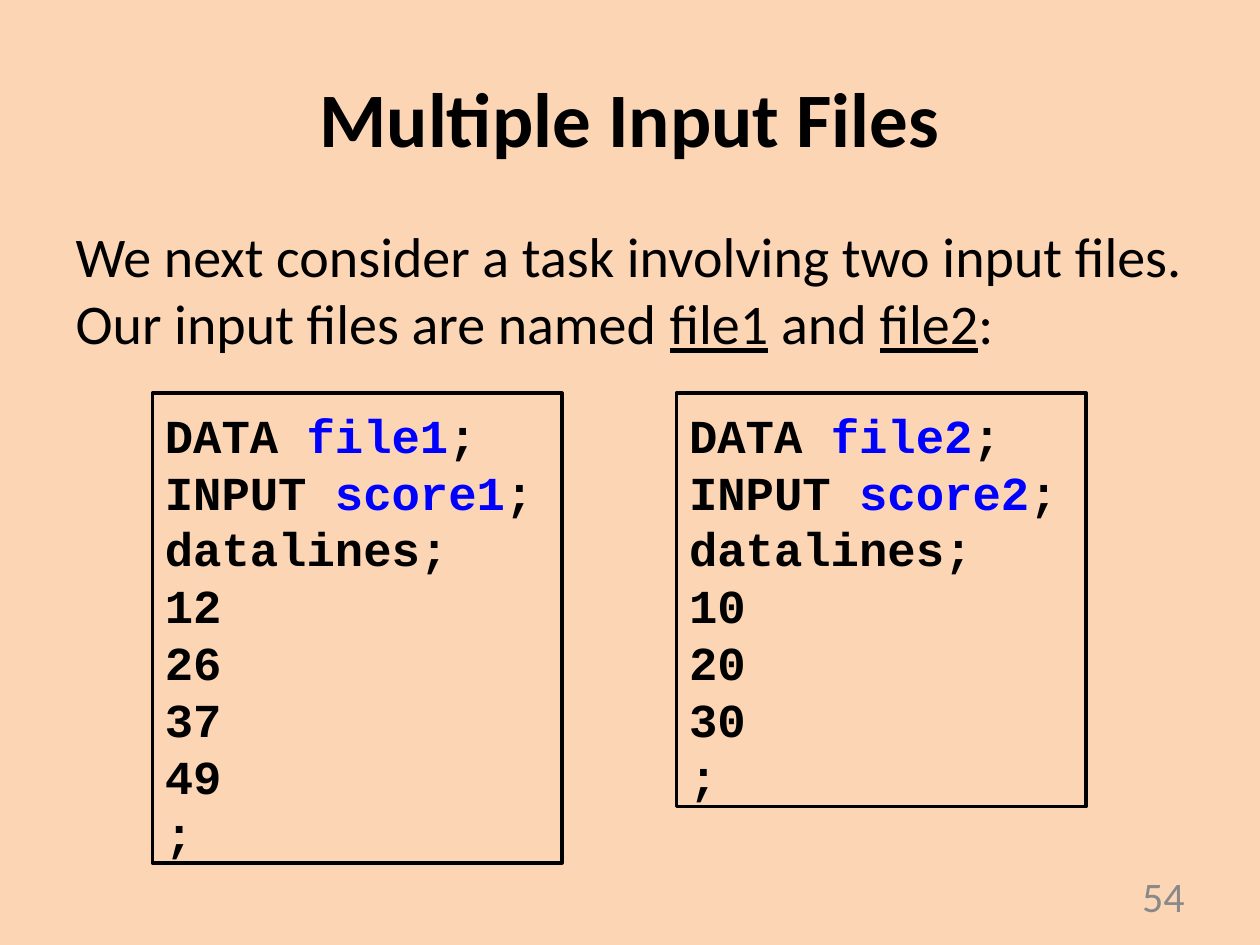
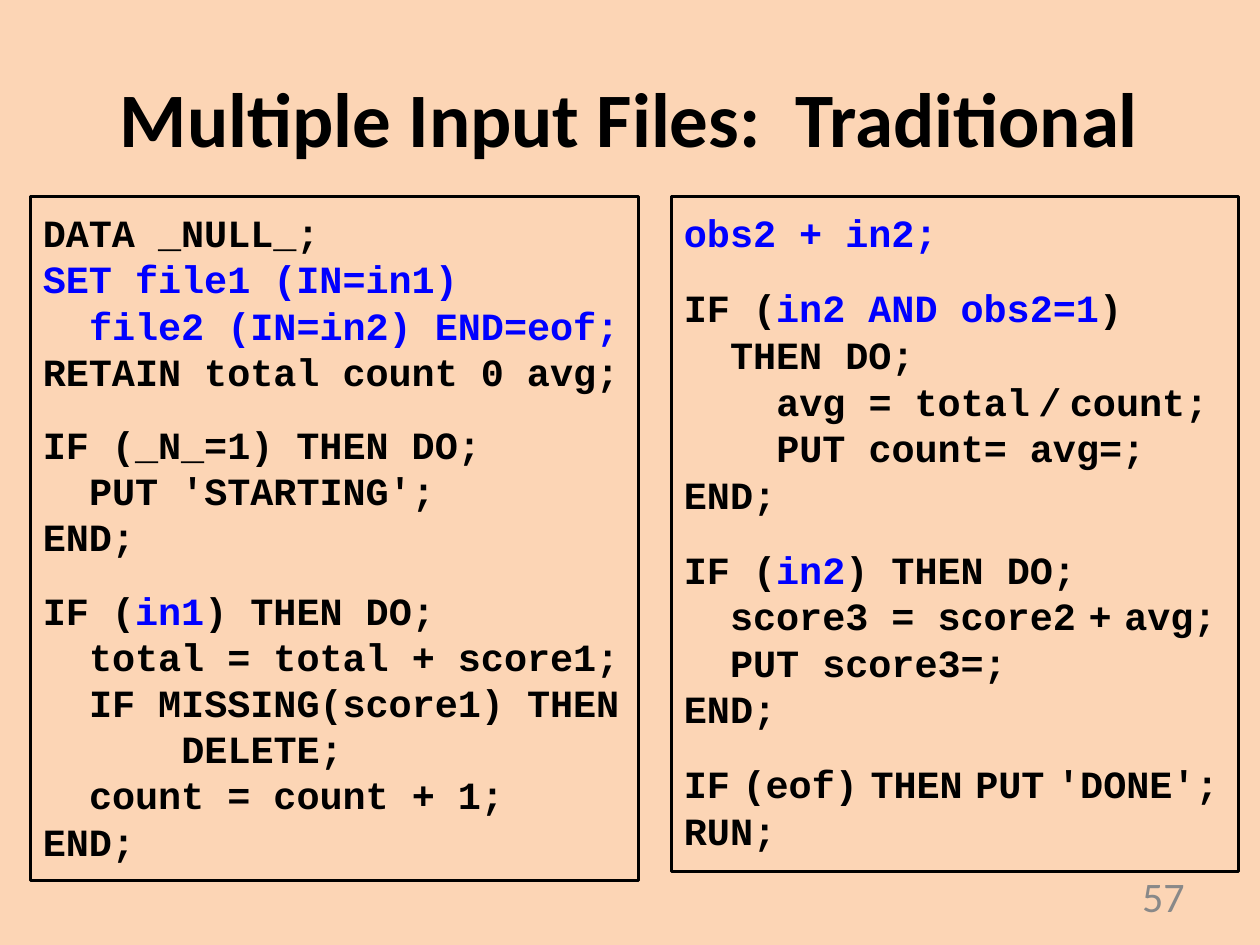
"""Build two slides about reading multiple input files."""
from itertools import groupby

from pptx import Presentation
from pptx.dml.color import RGBColor
from pptx.enum import shapes, text
from pptx.oxml.ns import qn
from pptx.util import Inches, Pt

COLORS = {"paper": "FCD5B5", "ink": "000000", "key": "0000FF", "number": "898989"}
SMALL_SPACES = {"~": 12, "^": 8}
CHARACTER_WIDTH = 0.6


def add_span(para, words, size, color="ink", font="Calibri", bold=False):
    """Append one formatted run to a paragraph."""
    span = para.add_run()
    span.text = words
    span.font.name = font
    span.font.size = Pt(size)
    span.font.bold = bold
    span.font.color.rgb = RGBColor.from_string(COLORS[color])
    return span


def write_code(box, code, size, pitch, gap, border):
    """Fill a bordered box with code; bars enclose blue words."""
    box.fill.background()
    box.line.color.rgb = RGBColor.from_string(COLORS["ink"])
    box.line.width = Pt(border)
    frame = box.text_frame
    frame.word_wrap = True
    frame.auto_size = text.MSO_AUTO_SIZE.NONE
    frame.vertical_anchor = text.MSO_ANCHOR.TOP
    frame.margin_top, frame.margin_bottom = Inches(0.1), Inches(0)
    blocks = [block.split("\n") for block in code.strip().split("\n\n")]
    for block_index, block in enumerate(blocks):
        for line_index, line in enumerate(block):
            first = block_index == line_index == 0
            para = frame.paragraphs[0] if first else frame.add_paragraph()
            para.alignment = text.PP_ALIGN.LEFT
            para.line_spacing = Pt(pitch)
            para.space_before = Pt(gap if block_index and line_index == 0 else 0)
            words = line.lstrip()
            indent = (len(line) - len(words)) * CHARACTER_WIDTH * size
            properties = para._p.get_or_add_pPr()
            properties.set("marL", str(Pt(indent)))
            properties.set("indent", "0")
            properties.append(properties.makeelement(qn("a:buNone"), {}))
            for part_index, part in enumerate(words.split("|")):
                color = "key" if part_index % 2 else "ink"
                for small, letters in groupby(part, SMALL_SPACES.get):
                    piece = " " if small else "".join(letters)
                    add_span(para, piece, small or size, color, "Courier New", True)


FILES = [("1", 1.21, 3.73, [12, 26, 37, 49]), ("2", 5.37, 3.28, [10, 20, 30])]

READ_FILE1 = """
DATA _NULL_;
|SET file1 (IN=in1)|
  |file2 (IN=in2) END=eof;|
RETAIN total count 0 avg;

IF (_N_=1) THEN DO;
  PUT 'STARTING';
END;

IF (|in1|) THEN DO;
  total = total + score1;
  IF MISSING(score1) THEN
      DELETE;
  count = count + 1;
END;
"""

READ_FILE2 = """
|obs2 + in2;|

IF (|in2 AND obs2=1|)
  THEN DO;
    avg = total^/^count;
    PUT count= avg=;
END;

IF (|in2|) THEN DO;
  score3 = score2~+~avg;
  PUT score3=;
END;

IF~(eof)~THEN~PUT~'DONE';
RUN;
"""

deck = Presentation()
deck.slide_width, deck.slide_height = Inches(10), Inches(7.5)
background = deck.slide_master.background.fill
background.solid()
background.fore_color.rgb = RGBColor.from_string(COLORS["paper"])

pages = []
for heading, number in [("Multiple Input Files", "54"),
                        ("Multiple Input Files:  Traditional", "57")]:
    page = deck.slides.add_slide(deck.slide_layouts[1])
    title = page.shapes.title
    title.left, title.top = Inches(0.5), Inches(0.3)
    title.width, title.height = Inches(9), Inches(1.25)
    title.text_frame.vertical_anchor = text.MSO_ANCHOR.MIDDLE
    para = title.text_frame.paragraphs[0]
    para.alignment = text.PP_ALIGN.CENTER
    add_span(para, heading, 44, bold=True)

    footer = page.shapes.add_textbox(Inches(7.17), Inches(6.91), Inches(2.33), Inches(0.4))
    footer.text_frame.word_wrap = True
    footer.text_frame.vertical_anchor = text.MSO_ANCHOR.MIDDLE
    para = footer.text_frame.paragraphs[0]
    para.alignment = text.PP_ALIGN.RIGHT
    add_span(para, number, 24, "number")
    pages.append(page)

files_page, program_page = pages

intro = files_page.placeholders[1]
intro.left, intro.top = Inches(0.5), Inches(1.71)
intro.width, intro.height = Inches(9.33), Inches(1.08)
intro.text_frame.auto_size = text.MSO_AUTO_SIZE.NONE
para = intro.text_frame.paragraphs[0]
properties = para._p.get_or_add_pPr()
properties.set("marL", "0")
properties.set("indent", "0")
properties.append(properties.makeelement(qn("a:buNone"), {}))
sentence = ("We next consider a task involving two input files.  "
            "Our input files are named |file1| and |file2|:")
for part_index, part in enumerate(sentence.split("|")):
    add_span(para, part, 32).font.underline = part_index % 2 == 1

for suffix, left, height, scores in FILES:
    box = files_page.shapes.add_shape(
        shapes.MSO_SHAPE.RECTANGLE, Inches(left), Inches(3.12), Inches(3.25), Inches(height))
    box.shadow.inherit = False
    lines = [f"DATA |file{suffix}|;", f"INPUT |score{suffix}|;", "datalines;", *map(str, scores), ";"]
    write_code(box, "\n".join(lines), size=27, pitch=32.5, gap=0, border=2)

first_half = program_page.placeholders[1]
first_half.left, first_half.top = Inches(0.24), Inches(1.56)
first_half.width, first_half.height = Inches(4.83), Inches(5.43)
write_code(first_half, READ_FILE1, size=22, pitch=26.4, gap=15.5, border=1.5)

second_half = program_page.shapes.add_shape(
    shapes.MSO_SHAPE.RECTANGLE, Inches(5.33), Inches(1.56), Inches(4.5), Inches(5.36))
second_half.shadow.inherit = False
write_code(second_half, READ_FILE2, size=22, pitch=26.6, gap=16.3, border=1.5)

deck.save("out.pptx")
